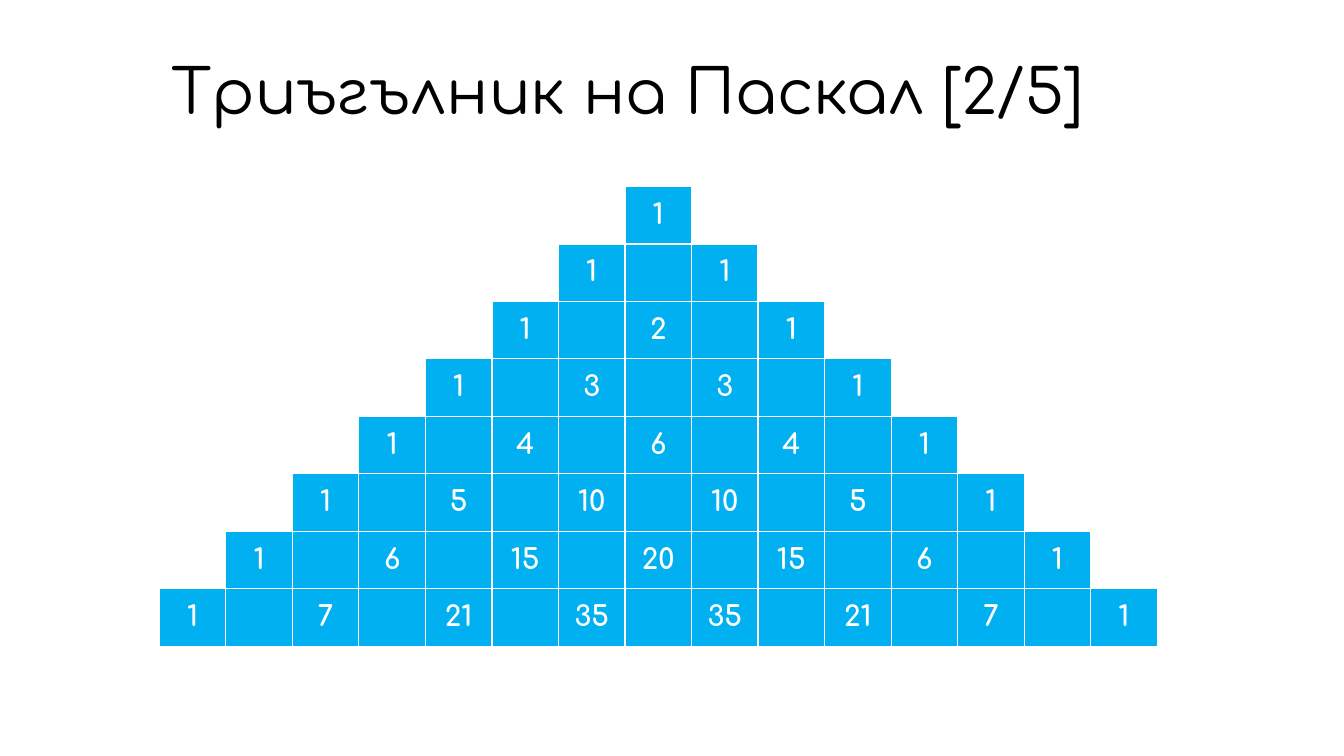
from math import comb

from lxml.etree import SubElement
from pptx import Presentation
from pptx.dml.color import RGBColor
from pptx.enum.text import MSO_ANCHOR as Anchor, PP_ALIGN as Align
from pptx.oxml.ns import qn
from pptx.util import Inches, Pt

ROWS = 8
COLS = 2 * ROWS - 1
WIDE, HIGH = 0.66, 0.56
BLUE, WHITE, BLACK = "00B0F0", "FFFFFF", "000000"


def write(frame, text, size, color, align, bold=False, lead=1.0):
    para = frame.paragraphs[0]
    para.alignment = align
    para.line_spacing = lead
    run = para.add_run()
    run.text = text
    run.font.name = "Comfortaa"
    run.font.size = Pt(size)
    run.font.bold = bold
    run.font.color.rgb = RGBColor.from_string(color)


def edge(cell, color, width):
    """Draw a solid border on all four sides; call before setting the fill."""
    props = cell._tc.get_or_add_tcPr()
    for side in ("a:lnL", "a:lnR", "a:lnT", "a:lnB"):
        line = SubElement(props, qn(side), w=str(Pt(width)))
        fill = SubElement(line, qn("a:solidFill"))
        SubElement(fill, qn("a:srgbClr"), val=color)


deck = Presentation()
deck.slide_width = Inches(13.33)
deck.slide_height = Inches(7.5)
slide = deck.slides.add_slide(deck.slide_layouts[6])

# Pascal's triangle: numbers sit in every second cell of each row
grid = slide.shapes.add_table(
    ROWS, COLS, Inches(1.58), Inches(1.85), Inches(WIDE * COLS), Inches(HIGH * ROWS)
).table
grid.first_row = False
grid.horz_banding = False
for col in grid.columns:
    col.width = Inches(WIDE)
for row in grid.rows:
    row.height = Inches(HIGH)

mid = ROWS - 1
for n in range(ROWS):
    for c in range(COLS):
        cell = grid.cell(n, c)
        edge(cell, WHITE, 1)
        if abs(c - mid) > n:
            cell.fill.background()
            continue
        cell.fill.solid()
        cell.fill.fore_color.rgb = RGBColor.from_string(BLUE)
        k, gap = divmod(c - mid + n, 2)
        if not gap:
            cell.margin_left = cell.margin_right = Inches(0.13)
            cell.margin_top = cell.margin_bottom = Inches(0.13)
            write(cell.text_frame, str(comb(n, k)), 20, WHITE, Align.CENTER, bold=True)

title = slide.shapes.add_textbox(
    Inches(1.58), Inches(0.52), Inches(10.34), Inches(0.84)
).text_frame
title.word_wrap = True
title.vertical_anchor = Anchor.MIDDLE
title.margin_left = title.margin_right = Inches(0.12)
title.margin_top = title.margin_bottom = Inches(0.04)
write(title, "Триъгълник на Паскал [2/5]", 44, BLACK, Align.JUSTIFY, lead=0.9)

deck.save("out.pptx")
